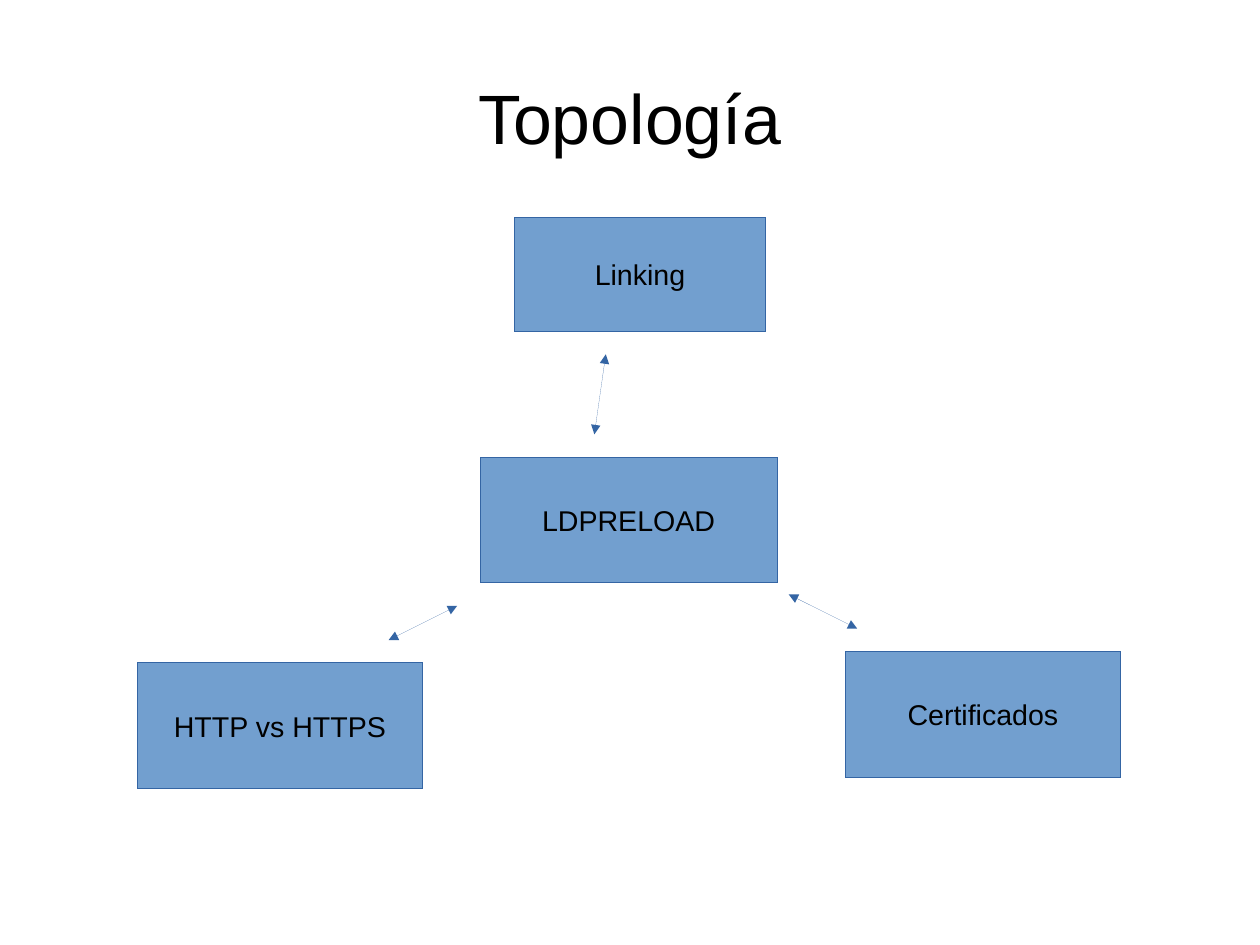
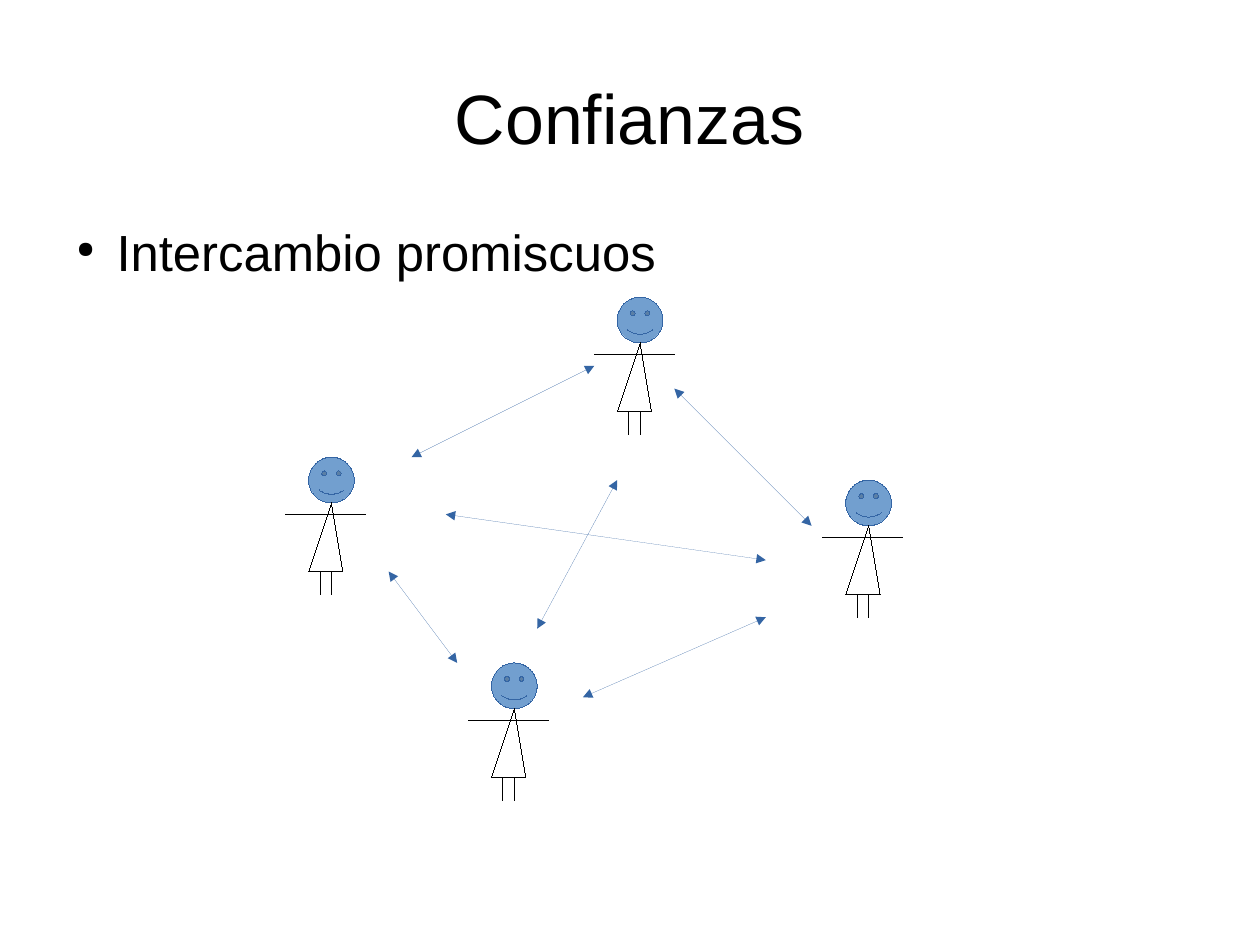
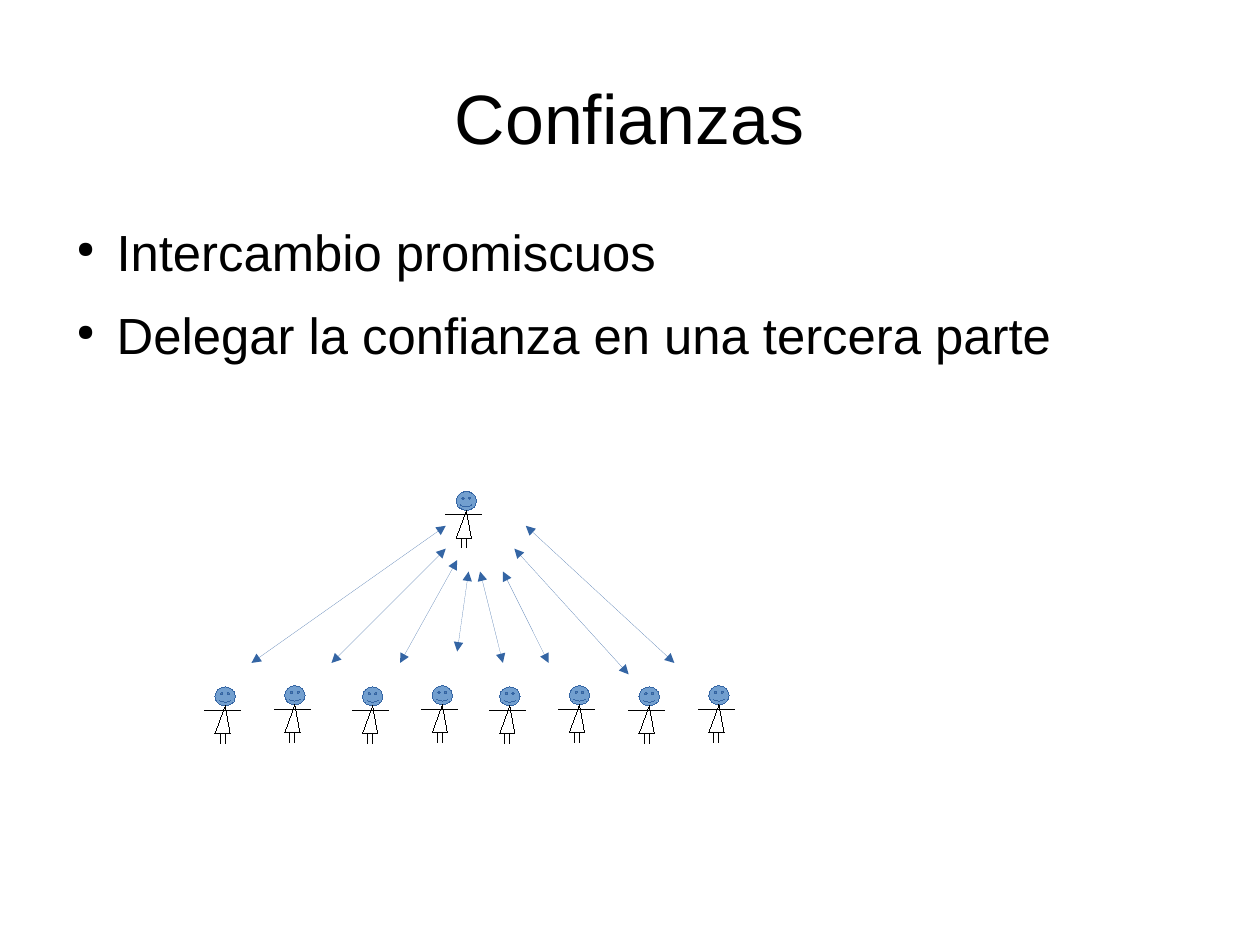
from lxml import etree
from pptx import Presentation
from pptx.dml.color import RGBColor
from pptx.enum.shapes import MSO_CONNECTOR, MSO_SHAPE
from pptx.enum.text import MSO_ANCHOR, PP_ALIGN
from pptx.oxml.ns import qn
from pptx.util import Inches, Pt

STRAIGHT = MSO_CONNECTOR.STRAIGHT
RECT, SMILEY = MSO_SHAPE.RECTANGLE, MSO_SHAPE.SMILEY_FACE
MIDDLE = MSO_ANCHOR.MIDDLE
LEFT, CENTER = PP_ALIGN.LEFT, PP_ALIGN.CENTER


class Theme:
    font = "Arial"
    ink = RGBColor.from_string("000000")
    fill = RGBColor.from_string("729FCF")
    edge = RGBColor.from_string("3465A4")
    title, body, label = Pt(44), Pt(32), Pt(18)
    gap = Pt(14.2)


# Slide content: lengths in inches, each arrow as x1, y1, x2, y2
TRUST = "Confianzas"
SWAP = "Intercambio promiscuos"
ROW = [1.79, 2.4, 3.08, 3.69, 4.28, 4.89, 5.5, 6.11]
PAGES = [
    dict(
        title="Topología",
        boxes=[
            ("Certificados", 7.4, 5.7, 2.4, 1.1),
            ("Linking", 4.5, 1.9, 2.2, 1),
            ("HTTP vs HTTPS", 1.2, 5.8, 2.5, 1.1),
            ("LDPRELOAD", 4.2, 4, 2.6, 1.1),
        ],
        arrows=[
            (5.3, 3.1, 5.2, 3.8),
            (3.4, 5.6, 4, 5.3),
            (7.5, 5.5, 6.9, 5.2),
        ],
    ),
    dict(
        title=TRUST,
        points=[SWAP],
        scale=(1, 1),
        people=[(2.5, 4), (5.2, 2.6), (7.2, 4.2), (4.1, 5.8)],
        arrows=[
            (3.6, 4, 5.2, 3.2),
            (5.9, 3.4, 7.1, 4.6),
            (6.7, 5.4, 5.1, 6.1),
            (3.4, 5, 4, 5.8),
            (5.4, 4.2, 4.7, 5.5),
            (3.9, 4.5, 6.7, 4.9),
        ],
    ),
    dict(
        title=TRUST,
        points=[SWAP, "Delegar la confianza en una tercera parte"],
        scale=(0.45, 0.41),
        people=[(x, 6.01 - i % 2 * 0.01) for i, x in enumerate(ROW)] + [(3.9, 4.3)],
        arrows=[
            (2.2, 5.8, 3.9, 4.6),
            (2.9, 5.8, 3.9, 4.8),
            (3.5, 5.8, 4, 4.9),
            (4, 5.7, 4.1, 5),
            (4.4, 5.8, 4.2, 5),
            (4.8, 5.8, 4.4, 5),
            (5.5, 5.9, 4.5, 4.8),
            (5.9, 5.8, 4.6, 4.6),
        ],
    ),
]

# Strokes of one person, from the top left corner: arms, dress, legs
LIMBS = [
    (0, 0.5, 0.7, 0.5),
    (0.4, 0.4, 0.5, 1),
    (0.2, 1, 0.4, 0.4),
    (0.5, 1, 0.2, 1),
    (0.3, 1, 0.3, 1.2),
    (0.4, 1, 0.4, 1.2),
]


def write(para, text, size, align):
    para.text = text
    para.alignment = align
    para.font.name = Theme.font
    para.font.size = size
    para.font.color.rgb = Theme.ink


def stroke(shapes, ends, color, heads=False):
    line = shapes.add_connector(STRAIGHT, *[Inches(v) for v in ends])
    line.line.color.rgb = color
    line.line.width = 0
    root = line._element
    if heads:
        for tag in ("a:headEnd", "a:tailEnd"):
            etree.SubElement(root.spPr.find(qn("a:ln")), qn(tag), type="triangle")
    etree.SubElement(root.spPr, qn("a:effectLst"))
    # The style would widen a hairline
    root.remove(root.find(qn("p:style")))


# Slide size: 28 by 21 centimetres, with the preset format name dropped
deck = Presentation()
deck.slide_width = Inches(28 / 2.54)
deck.slide_height = Inches(21 / 2.54)
deck.element.find(qn("p:sldSz")).attrib.pop("type", None)

for page in PAGES:
    shapes = deck.slides.add_slide(deck.slide_layouts[6]).shapes
    solids = []

    # Title and body frames
    frames = []
    for top, height in ((0.33, 1.38), (1.93, 4.79))[:2 if "points" in page else 1]:
        frame = shapes.add_textbox(
            Inches(0.55), Inches(top), Inches(9.92), Inches(height)).text_frame
        frame.word_wrap = True
        frame.margin_left = frame.margin_right = 0
        frame.margin_top = frame.margin_bottom = 0
        frames.append(frame)
    frames[0].vertical_anchor = MIDDLE
    write(frames[0].paragraphs[0], page["title"], Theme.title, CENTER)

    # Bullets
    for i, text in enumerate(page.get("points", [])):
        para = frames[1].add_paragraph() if i else frames[1].paragraphs[0]
        props = para._p.get_or_add_pPr()
        props.set("marL", str(Inches(0.47)))
        props.set("indent", str(Inches(-0.35)))
        tint = etree.SubElement(props, qn("a:buClr"))
        etree.SubElement(tint, qn("a:srgbClr"), val=str(Theme.ink))
        etree.SubElement(props, qn("a:buSzPct"), val="45000")
        etree.SubElement(props, qn("a:buChar"), char="●")
        if i:
            para.space_before = Theme.gap
        write(para, text, Theme.body, LEFT)

    # Labelled boxes
    for text, *place in page.get("boxes", []):
        box = shapes.add_shape(RECT, *[Inches(v) for v in place])
        box.text_frame.word_wrap = False
        box.text_frame.vertical_anchor = MIDDLE
        write(box.text_frame.paragraphs[0], text, Theme.label, CENTER)
        solids.append(box)

    # People
    for x, y in page.get("people", []):
        wide, high = page["scale"]
        group = shapes.add_group_shape().shapes
        head = group.add_shape(
            SMILEY, Inches(x + 0.2 * wide), Inches(y),
            Inches(0.4 * wide), Inches(0.4 * high))
        head.adjustments[0] = 0.093
        solids.append(head)
        for x1, y1, x2, y2 in LIMBS:
            ends = (x + x1 * wide, y + y1 * high, x + x2 * wide, y + y2 * high)
            stroke(group, ends, Theme.ink)

    # Shared look of boxes and heads
    for solid in solids:
        solid.shadow.inherit = False
        solid.fill.solid()
        solid.fill.fore_color.rgb = Theme.fill
        solid.line.color.rgb = Theme.edge
        solid.line.width = 0
        solid._element.remove(solid._element.find(qn("p:style")))

    # Arrows
    for ends in page["arrows"]:
        stroke(shapes, ends, Theme.edge, heads=True)

deck.save("out.pptx")
